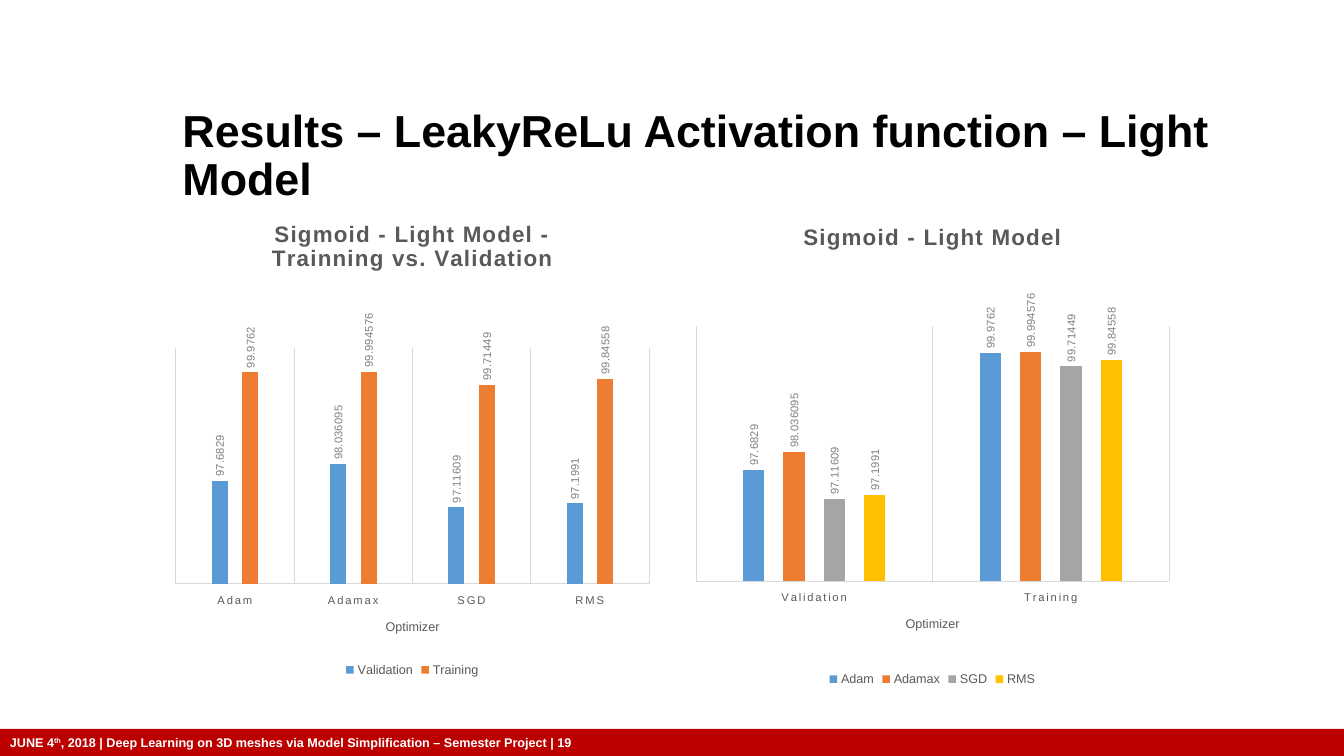
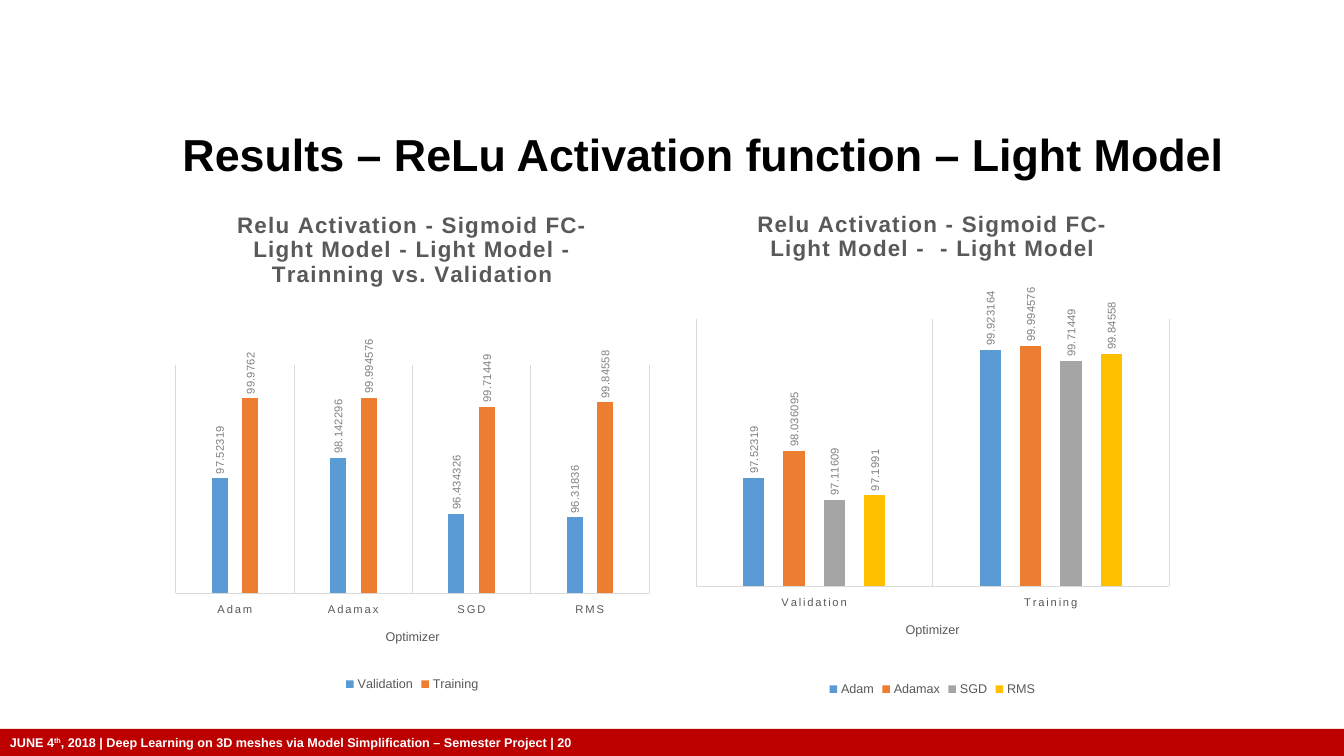
from dataclasses import dataclass

from lxml.etree import SubElement
from pptx import Presentation
from pptx.chart.data import CategoryChartData
from pptx.dml.color import RGBColor
from pptx.enum.chart import (XL_CHART_TYPE, XL_LABEL_POSITION,
                             XL_LEGEND_POSITION, XL_TICK_LABEL_POSITION,
                             XL_TICK_MARK)
from pptx.enum.shapes import MSO_SHAPE
from pptx.enum.text import MSO_ANCHOR, MSO_AUTO_SIZE, PP_ALIGN
from pptx.oxml.ns import qn
from pptx.util import Pt

RED = RGBColor(0xBC, 0x00, 0x00)
WHITE = RGBColor(0xFF, 0xFF, 0xFF)
BLACK = RGBColor(0x00, 0x00, 0x00)
DARK = RGBColor(0x59, 0x59, 0x59)
GREY = RGBColor(0x80, 0x80, 0x80)
PALE = RGBColor(0xD9, 0xD9, 0xD9)
BLUE = RGBColor(0x5B, 0x9B, 0xD5)
ORANGE = RGBColor(0xED, 0x7D, 0x31)
SILVER = RGBColor(0xA5, 0xA5, 0xA5)
GOLD = RGBColor(0xFF, 0xC0, 0x00)
FILLS = (BLUE, ORANGE, SILVER, GOLD)

FACE = "Arial"
WIDTH, HEIGHT = Pt(960), Pt(540)
BAR_TOP = Pt(520.6)
LEFT, RIGHT = 114.5, 486
SOLVERS = ("Adam", "Adamax", "SGD", "RMS")
PHASES = ("Validation", "Training")


@dataclass(frozen=True)
class Graph:
    """One column chart; rows hold one series each, span is the value range."""
    title: str
    left: float
    top: float
    height: float
    plot_top: float
    plot_part: float
    span: tuple[float, float]
    cats: tuple[str, ...]
    names: tuple[str, ...]
    rows: tuple[tuple[float, ...], ...]


@dataclass(frozen=True)
class Page:
    title: str
    number: int
    graphs: tuple[Graph, ...]


TRAIN = (99.9762, 99.994576, 99.71449, 99.84558)
PAGES = (
    Page("Results – LeakyReLu Activation function – Light Model", 19, (
        Graph("Sigmoid - Light Model - Trainning vs. Validation",
              LEFT, 143.3, 343.4, 0.306, 0.491, (95.5, 100.5), SOLVERS, PHASES,
              ((97.6829, 98.036095, 97.11609, 97.1991), TRAIN)),
        Graph("Sigmoid - Light Model",
              RIGHT, 145.4, 347.8, 0.252, 0.524, (95.5, 100.5), PHASES, SOLVERS,
              ((97.6829, 99.9762), (98.036095, 99.994576),
               (97.11609, 99.71449), (97.1991, 99.84558))),
    )),
    Page("Results – ReLu Activation function – Light Model", 20, (
        Graph("Relu Activation - Sigmoid FC- Light Model - Light Model - "
              "Trainning vs. Validation",
              LEFT, 136.8, 360, 0.344, 0.453, (94, 101), SOLVERS, PHASES,
              ((97.52319, 98.142296, 96.434326, 96.31836), TRAIN)),
        Graph("Relu Activation - Sigmoid FC- Light Model -  - Light Model",
              RIGHT, 136.1, 364.3, 0.252, 0.524, (95.5, 100.5), PHASES, SOLVERS,
              ((97.52319, 99.923164), (98.036095, 99.994576),
               (97.11609, 99.71449), (97.1991, 99.84558))),
    )),
)


def assign(item, **values) -> None:
    for key, value in values.items():
        setattr(item, key, value)


def style(font, size: float, color: RGBColor, bold: bool = False) -> None:
    assign(font, name=FACE, size=Pt(size), bold=bold)
    font.color.rgb = color


def rule(line) -> None:
    line.color.rgb = PALE
    line.width = Pt(0.75)


def add_title(slide, text: str) -> None:
    shape = slide.shapes.title
    assign(shape, left=Pt(123.1), top=Pt(90.7), width=Pt(771.1), height=Pt(42.5))
    frame = shape.text_frame
    frame.text = text
    assign(frame, word_wrap=True, auto_size=MSO_AUTO_SIZE.NONE,
           vertical_anchor=MSO_ANCHOR.MIDDLE, margin_left=Pt(7.2),
           margin_right=Pt(7.2), margin_top=Pt(7.2), margin_bottom=Pt(7.2))
    para = frame.paragraphs[0]
    assign(para, alignment=PP_ALIGN.LEFT, line_spacing=0.9)
    style(para.runs[0].font, 32, BLACK, True)


def add_footer(slide, number: int) -> None:
    bar = slide.shapes.add_shape(MSO_SHAPE.RECTANGLE, 0, BAR_TOP,
                                 WIDTH, HEIGHT - BAR_TOP)
    bar.shadow.inherit = False
    bar.fill.solid()
    bar.fill.fore_color.rgb = RED
    bar.line.fill.background()
    frame = bar.text_frame
    assign(frame, word_wrap=True, vertical_anchor=MSO_ANCHOR.MIDDLE,
           margin_left=Pt(7.2), margin_right=Pt(7.2),
           margin_top=Pt(3.6), margin_bottom=Pt(3.6))
    para = frame.paragraphs[0]
    para.alignment = PP_ALIGN.LEFT
    tail = (", 2018 | Deep Learning on 3D meshes via Model Simplification "
            f"– Semester Project | {number}")
    for text, raised in (("JUNE 4", False), ("th", True), (tail, False)):
        run = para.add_run()
        run.text = text
        style(run.font, 9, WHITE, True)
        if raised:
            run.font._element.set("baseline", "30000")


def place_plot(chart, graph: Graph) -> None:
    """Fix the inner plot area as fractions of the chart."""
    area = chart.element.find(f".//{qn('c:plotArea')}")
    for old in area.findall(qn("c:layout")):
        area.remove(old)
    layout = SubElement(area, qn("c:layout"))
    area.insert(0, layout)
    manual = SubElement(layout, qn("c:manualLayout"))
    values = {"layoutTarget": "inner", "xMode": "edge", "yMode": "edge",
              "x": 0.031, "y": graph.plot_top,
              "w": 0.939, "h": graph.plot_part}
    for key, value in values.items():
        SubElement(manual, qn(f"c:{key}")).set("val", str(value))


def add_label(owner, text: str, size: float, bold: bool) -> None:
    """Write the title of a chart or an axis."""
    frame = owner.text_frame
    frame.text = text
    style(frame.paragraphs[0].runs[0].font, size, DARK, bold)


def format_axes(chart, span: tuple[float, float]) -> None:
    axis = chart.category_axis
    assign(axis, has_major_gridlines=True, major_tick_mark=XL_TICK_MARK.NONE,
           minor_tick_mark=XL_TICK_MARK.NONE,
           tick_label_position=XL_TICK_LABEL_POSITION.LOW)
    rule(axis.format.line)
    rule(axis.major_gridlines.format.line)
    style(axis.tick_labels.font, 8, DARK)
    add_label(axis.axis_title, "Optimizer", 9, False)
    assign(chart.value_axis, visible=False, has_major_gridlines=False,
           minimum_scale=span[0], maximum_scale=span[1])


def format_bars(chart) -> None:
    plot = chart.plots[0]
    assign(plot, gap_width=444, overlap=-90, vary_by_categories=False,
           has_data_labels=True)
    for series, color in zip(plot.series, FILLS):
        series.format.fill.solid()
        series.format.fill.fore_color.rgb = color
    labels = plot.data_labels
    assign(labels, show_value=True, position=XL_LABEL_POSITION.OUTSIDE_END,
           number_format="General", number_format_is_linked=False)
    style(labels.font, 8, GREY)


def tune_text(chart) -> None:
    """Turn the value labels upright and space out title and category text."""
    root = chart.element
    for body in root.xpath(".//c:dLbls/c:txPr/a:bodyPr"):
        body.set("rot", "-5400000")
        body.set("vert", "horz")
    spaced = {"./c:chart/c:title//a:rPr": "100",
              ".//c:catAx/c:txPr//a:defRPr": "120"}
    for query, gap in spaced.items():
        for node in root.xpath(query):
            node.set("spc", gap)


def add_graph(slide, graph: Graph) -> None:
    data = CategoryChartData()
    data.categories = graph.cats
    for name, row in zip(graph.names, graph.rows):
        data.add_series(name, row)
    chart = slide.shapes.add_chart(
        XL_CHART_TYPE.COLUMN_CLUSTERED, Pt(graph.left), Pt(graph.top),
        Pt(360), Pt(graph.height), data).chart
    style(chart.font, 10, BLACK)
    assign(chart, has_title=True, has_legend=True)
    add_label(chart.chart_title, graph.title, 16, True)
    assign(chart.legend, position=XL_LEGEND_POSITION.BOTTOM,
           include_in_layout=False)
    style(chart.legend.font, 9, DARK)
    format_axes(chart, graph.span)
    format_bars(chart)
    place_plot(chart, graph)
    tune_text(chart)


def main() -> None:
    deck = Presentation()
    assign(deck, slide_width=WIDTH, slide_height=HEIGHT)
    for page in PAGES:
        slide = deck.slides.add_slide(deck.slide_layouts[5])
        add_footer(slide, page.number)
        add_title(slide, page.title)
        for graph in page.graphs:
            add_graph(slide, graph)
    deck.save("out.pptx")


if __name__ == "__main__":
    main()
